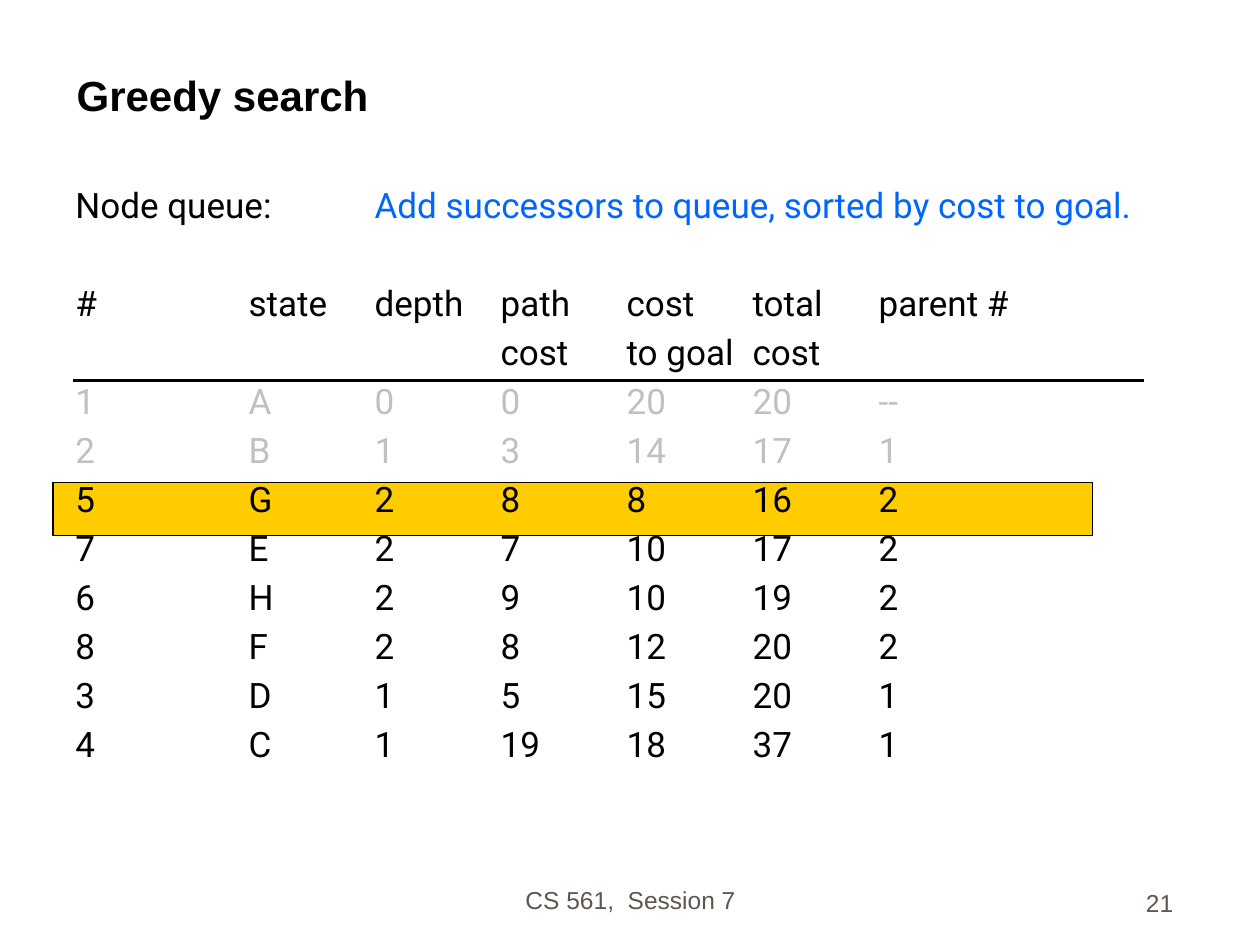
from typing import NamedTuple

from lxml.etree import SubElement
from pptx import Presentation
from pptx.dml.color import RGBColor
from pptx.enum.shapes import MSO_CONNECTOR, MSO_SHAPE
from pptx.enum.text import MSO_ANCHOR as Anchor, PP_ALIGN as Align
from pptx.oxml.ns import qn
from pptx.util import Inches, Pt

COLORS = {
    "ink": "000000",
    "visited": "C0C0C0",
    "note": "0066FF",
    "highlight": "FFCC00",
    "footer": "5E574E",
}


class Label(NamedTuple):
    text: str
    left: float
    top: float
    width: float
    height: float
    size: int
    color: str
    bold: bool = False
    align: Align = Align.LEFT


class QueueRow(NamedTuple):
    number: str
    cells: tuple
    color: str = "ink"
    space_before: float = 4


LABELS = [
    Label("Greedy search", 0.51, 0.25, 8.92, 0.75, 24, "ink", bold=True),
    Label("CS 561,  Session 7", 3.42, 6.81, 3.17, 0.5, 14, "footer", align=Align.CENTER),
    Label("21", 7.33, 6.83, 2.08, 0.5, 14, "footer", align=Align.RIGHT),
]

QUEUE = [
    QueueRow("#", ("state", "depth", "path", "cost", "total", "parent #"), space_before=32),
    QueueRow("", ("", "", "cost", "to goal", "cost")),
    QueueRow("1", ("A", 0, 0, 20, 20, "--"), "visited"),
    QueueRow("2", ("B", 1, 3, 14, 17, 1), "visited"),
    QueueRow("5", ("G", 2, 8, 8, 16, 2)),
    QueueRow("7", ("E", 2, 7, 10, 17, 2)),
    QueueRow("6", ("H", 2, 9, 10, 19, 2)),
    QueueRow("8", ("F", 2, 8, 12, 20, 2)),
    QueueRow("3", ("D", 1, 5, 15, 20, 1)),
    QueueRow("4", ("C", 1, 19, 18, 37, 1)),
]


def rgb(name: str) -> RGBColor:
    return RGBColor.from_string(COLORS[name])


def add_frame(slide, left: float, top: float, width: float, height: float, anchor: Anchor):
    box = slide.shapes.add_textbox(Inches(left), Inches(top), Inches(width), Inches(height))
    frame = box.text_frame
    frame.word_wrap = True
    frame.vertical_anchor = anchor
    return frame


def add_label(slide, label: Label) -> None:
    frame = add_frame(slide, label.left, label.top, label.width, label.height, Anchor.BOTTOM)
    line = frame.paragraphs[0]
    line.text = label.text
    line.alignment = label.align
    line.font.name = "Arial"
    line.font.size = Pt(label.size)
    line.font.bold = label.bold
    line.font.color.rgb = rgb(label.color)


def style_queue_line(line) -> None:
    """Hanging indent: the number hangs left, the columns follow a one-inch tab grid."""
    properties = line._p.get_or_add_pPr()
    properties.set("marL", str(Inches(0.375)))
    properties.set("indent", str(Inches(-0.375)))
    properties.set("defTabSz", str(Inches(1)))
    line.font.name = "Roboto"
    line.font.size = Pt(20)


def add_queue(slide) -> None:
    frame = add_frame(slide, 0.5, 1.41, 8.94, 5.5, Anchor.TOP)
    heading = frame.paragraphs[0]
    style_queue_line(heading)
    for text, color in (
        ("Node queue:\t", "ink"),
        ("Add successors to queue, sorted by cost to goal.", "note"),
    ):
        run = heading.add_run()
        run.text = text
        run.font.color.rgb = rgb(color)

    for row in QUEUE:
        line = frame.add_paragraph()
        style_queue_line(line)
        line.text = "\t".join([row.number, "", *map(str, row.cells)])
        line.space_before = Pt(row.space_before)
        line.font.color.rgb = rgb(row.color)


def add_highlight(slide) -> None:
    bar = slide.shapes.add_shape(
        MSO_SHAPE.RECTANGLE, Inches(0.42), Inches(3.83), Inches(8.25), Inches(0.42)
    )
    bar.shadow.inherit = False
    bar.fill.solid()
    bar.fill.fore_color.rgb = rgb("highlight")
    bar.line.color.rgb = rgb("ink")
    bar.line.width = Pt(0.75)


def add_header_rule(slide) -> None:
    rule = slide.shapes.add_connector(
        MSO_CONNECTOR.STRAIGHT, Inches(0.58), Inches(3.02), Inches(9.08), Inches(3.02)
    )
    rule.line.color.rgb = rgb("ink")
    rule.line.width = Pt(2.25)
    SubElement(rule._element.spPr, qn("a:effectLst"))


def main() -> None:
    deck = Presentation()
    deck.slide_width, deck.slide_height = Inches(10), Inches(7.5)
    slide = deck.slides.add_slide(deck.slide_layouts[6])

    # Current node, behind the queue text
    add_highlight(slide)

    # Title, footer and slide number
    for label in LABELS:
        add_label(slide, label)

    # Node queue and the line under its header
    add_queue(slide)
    add_header_rule(slide)

    deck.save("out.pptx")


if __name__ == "__main__":
    main()
